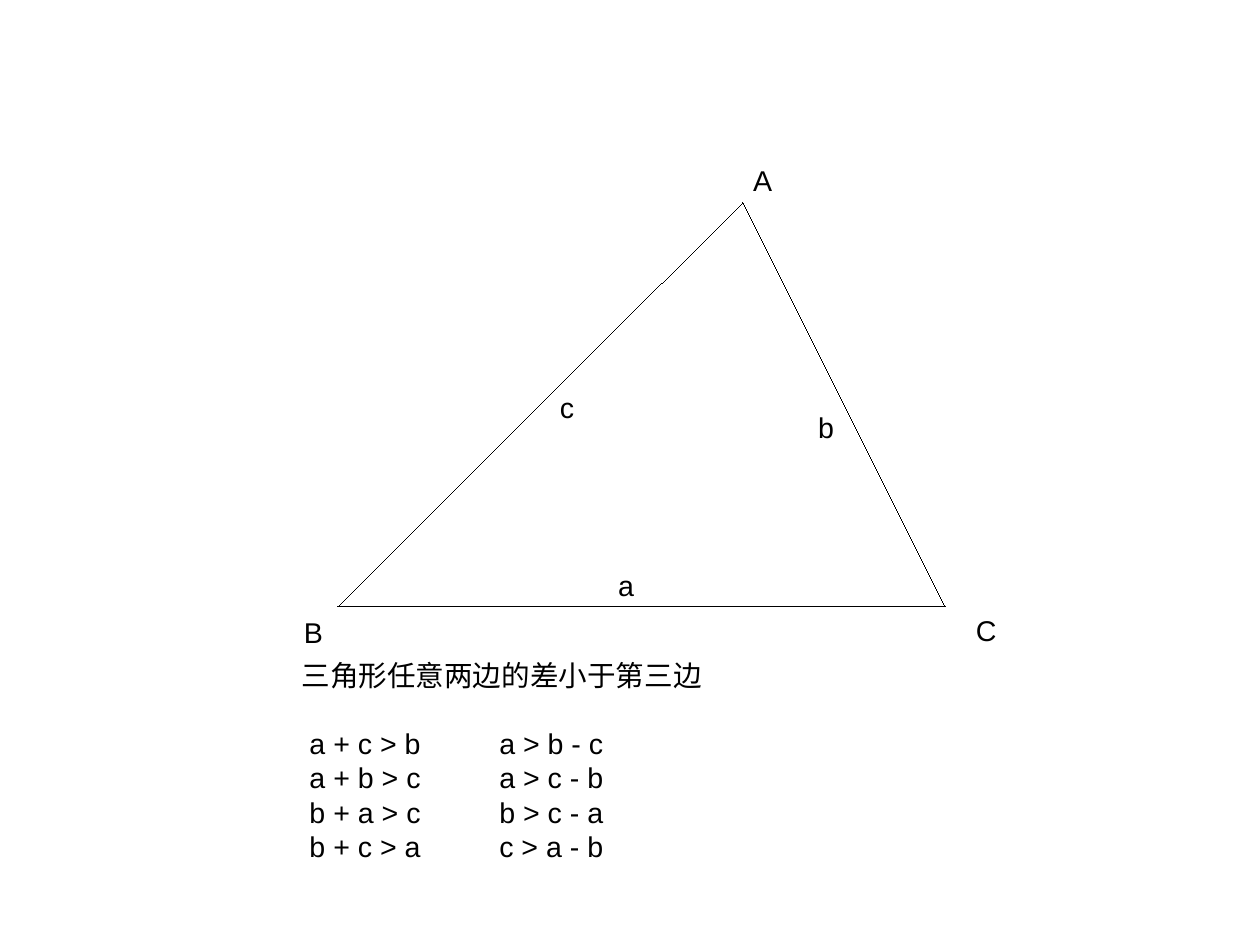
from dataclasses import dataclass

from lxml.etree import SubElement
from pptx import Presentation
from pptx.dml.color import RGBColor
from pptx.enum.shapes import MSO_CONNECTOR
from pptx.oxml.ns import qn
from pptx.slide import Slide
from pptx.util import Inches, Pt

INK = {"line": "000000", "text": "000000"}
FONT = "Arial"
SIZE = 18
WIDE = 28 / 2.54
HIGH = 21 / 2.54


@dataclass
class Point:
    x: float
    y: float


@dataclass
class Label:
    text: str
    x: float
    y: float
    w: float
    h: float = 0.38
    wrap: bool = False


APEX = Point(6.5, 1.77)
LEFT = Point(2.95, 5.31)
RIGHT = Point(8.27, 5.31)
SIDES = [(LEFT, RIGHT), (LEFT, APEX), (APEX, RIGHT)]

LABELS = [
    Label("A", 6.49, 1.38, 0.36),
    Label("B", 2.56, 5.33, 0.36),
    Label("C", 8.44, 5.31, 0.38),
    Label("a", 5.31, 4.92, 0.34),
    Label("b", 7.06, 3.54, 0.34, 0.54, True),
    Label("c", 4.8, 3.36, 0.32),
]

RULE = Label("三角形任意两边的差小于第三边", 2.54, 5.71, 3.7, 1.86, True)
PAIRS = [
    (" a + c > b", "a > b - c"),
    (" a + b > c", "a > c - b"),
    (" b + a > c", "b > c - a"),
    (" b + c > a", "c > a - b"),
]
TAB = 1.73


def add_run(para, text: str) -> None:
    run = para.add_run()
    run.text = text
    run.font.name = FONT
    run.font.size = Pt(SIZE)
    run.font.color.rgb = RGBColor.from_string(INK["text"])


def add_label(slide: Slide, label: Label):
    box = slide.shapes.add_textbox(
        Inches(label.x), Inches(label.y), Inches(label.w), Inches(label.h)
    )
    frame = box.text_frame
    frame.word_wrap = label.wrap
    add_run(frame.paragraphs[0], label.text)
    return frame


def add_side(slide: Slide, start: Point, end: Point) -> None:
    side = slide.shapes.add_connector(
        MSO_CONNECTOR.STRAIGHT,
        Inches(start.x), Inches(start.y), Inches(end.x), Inches(end.y),
    )
    side.line.color.rgb = RGBColor.from_string(INK["line"])
    side.line.width = Pt(0.01)
    SubElement(side._element.spPr, qn("a:effectLst"))


def add_rule(slide: Slide) -> None:
    frame = add_label(slide, RULE)
    frame.margin_right = 0
    for row, pair in enumerate(PAIRS):
        para = frame.add_paragraph()
        if row == 0:
            para.space_before = Pt(21)
        tabs = SubElement(para._p.get_or_add_pPr(), qn("a:tabLst"))
        SubElement(tabs, qn("a:tab"), pos=str(int(Inches(TAB))), algn="l")
        add_run(para, "\t".join(pair))


def main() -> None:
    deck = Presentation()
    deck.slide_width = Inches(WIDE)
    deck.slide_height = Inches(HIGH)
    slide = deck.slides.add_slide(deck.slide_layouts[6])
    add_rule(slide)
    for start, end in SIDES:
        add_side(slide, start, end)
    for label in LABELS:
        add_label(slide, label)
    deck.save("out.pptx")


if __name__ == "__main__":
    main()
